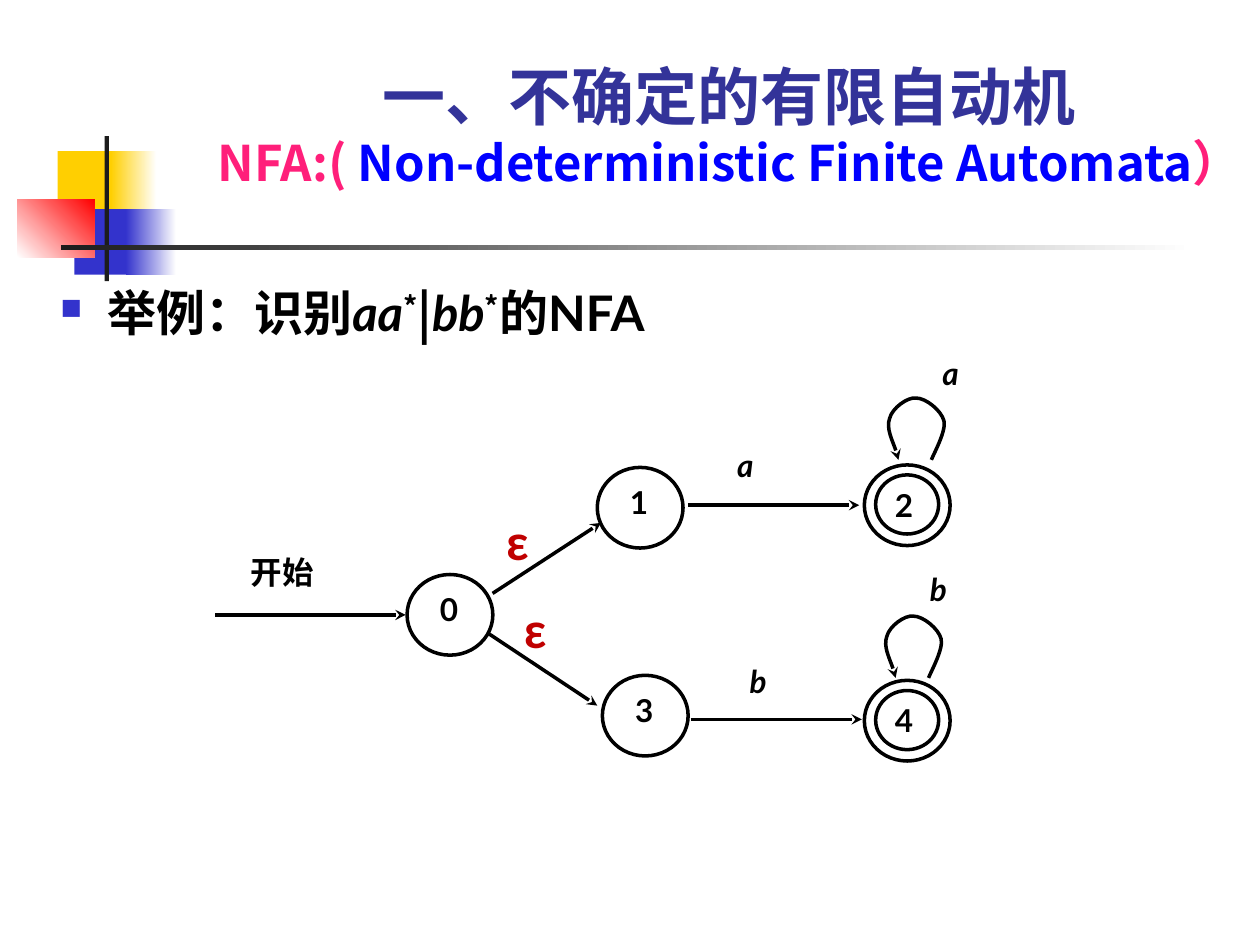
"""Builds a slide showing an NFA that accepts aa*|bb*."""
from lxml.etree import SubElement as Sub
from pptx import Presentation
from pptx.dml.color import RGBColor as Rgb
from pptx.enum.shapes import MSO_CONNECTOR as Conn, MSO_SHAPE as Kind
from pptx.enum.text import MSO_ANCHOR as Anchor, PP_ALIGN as Align
from pptx.oxml.ns import qn
from pptx.util import Pt

HUE = {"gold": "FFCF01", "blue": "3333CC", "red": "FF0000", "white": "FFFFFF",
       "dark": "1C1C1C", "black": "000000", "navy": "333399", "pink": "FF1F7A",
       "pure": "0000FF", "wine": "C00000"}
JP, SC, LATO = "Noto Sans CJK JP", "Noto Sans CJK SC", "Lato"


def style(run, size, face, hue, slant=False):
    font = run.font
    font.size, font.name, font.bold, font.italic = Pt(size), face, True, slant
    font.color.rgb = Rgb.from_string(HUE[hue])
    east = face if face != LATO else SC
    Sub(run._r.get_or_add_rPr(), qn("a:ea"), typeface=east)


def ink(shape, arrow=False):
    shape.line.color.rgb = Rgb.from_string(HUE["black"])
    shape.line.width = Pt(2)
    if arrow:
        Sub(shape.line._get_or_add_ln(), qn("a:tailEnd"), type="stealth")


deck = Presentation()
deck.slide_width, deck.slide_height = Pt(720), Pt(540)
slide = deck.slides.add_slide(deck.slide_layouts[6])
shapes = slide.shapes

for x, y, w, h, hues, angle in [
    (33, 86.4, 34.6, 37.4, ["gold"], 0),
    (63.4, 86.4, 26, 37.4, ["gold", "white"], 0),
    (42.5, 119.5, 33, 37.4, ["blue"], 0),
    (72, 119.5, 28.8, 37.4, ["blue", "white"], 0),
    (10, 113.8, 44, 33.1, ["white", "red"], 45),
    (59.8, 77.8, 2.5, 82.8, ["dark"], 0),
    (34.6, 140.2, 648, 2.5, ["dark", "white"], 0),
]:
    block = shapes.add_shape(Kind.RECTANGLE, Pt(x), Pt(y), Pt(w), Pt(h))
    block.shadow.inherit = False
    block.line.fill.background()
    if len(hues) == 1:
        block.fill.solid()
        block.fill.fore_color.rgb = Rgb.from_string(HUE[hues[0]])
    else:
        block.fill.gradient()
        block.fill.gradient_angle = angle
        for stop, hue in zip(block.fill.gradient_stops, hues):
            stop.color.rgb = Rgb.from_string(HUE[hue])

body = shapes.add_textbox(Pt(27.4), Pt(154.8), Pt(453.6), Pt(50.4)).text_frame
body.word_wrap = True
para = body.paragraphs[0]
para.line_spacing = 1.1
props = para._p.get_or_add_pPr()
props.set("marL", str(Pt(27)))
props.set("indent", str(-Pt(27)))
Sub(Sub(props, qn("a:buClr")), qn("a:srgbClr"), val=HUE["blue"])
Sub(props, qn("a:buSzPct"), val="60000")
Sub(props, qn("a:buChar"), char="■")
for text, face in [("举例：", JP), ("识别", SC), ("aa", LATO), ("*", SC), ("|", SC),
                   ("bb", LATO), ("*", SC), ("的", SC), ("NFA", LATO)]:
    run = para.add_run()
    run.text = text
    style(run, 28, face, "black", text in ("aa", "bb"))
    if text == "*":
        run._r.get_or_add_rPr().set("baseline", "30000")

title = shapes.add_textbox(Pt(105.8), Pt(60.5), Pt(622), Pt(52.6)).text_frame
title.word_wrap = True
title.vertical_anchor = Anchor.BOTTOM
para = title.paragraphs[0]
para.alignment = Align.CENTER
for text, size, face, hue in [
    ("一、不确定的有限自动机", 36, JP, "navy"),
    ("NFA:( ", 28, SC, "pink"),
    ("Non-deterministic Finite Automata", 28, SC, "pure"),
    ("）", 28, SC, "pink"),
]:
    run = para.add_run()
    run.text = text
    style(run, size, face, hue)
    if size == 36:
        para.add_line_break()

for x, y, w, h, text in [
    (341.3, 267.1, 49, 46.1, "1"), (232.6, 328.3, 49, 46.1, "0"),
    (344.2, 385.9, 49, 46.1, "3"),
    (493.9, 265.7, 49, 46.1, ""), (500.4, 271.4, 36, 33.8, "2"),
    (493.9, 388.8, 49, 46.1, ""), (500.4, 394.6, 36, 33.8, "4"),
]:
    state = shapes.add_shape(Kind.OVAL, Pt(x), Pt(y), Pt(w), Pt(h))
    state.shadow.inherit = False
    state.fill.background()
    ink(state)
    if not text:
        continue
    frame = state.text_frame
    inner = w == 36
    pads = (5.8, 0, 0.7, 0) if inner else (11.5, 2.2, 1.4, 3.6)
    frame.margin_left, frame.margin_top, frame.margin_right, frame.margin_bottom = map(Pt, pads)
    frame.vertical_anchor = Anchor.MIDDLE if inner else Anchor.TOP
    para = frame.paragraphs[0]
    para.text = text
    para.alignment = Align.LEFT
    style(para.runs[0], 18, LATO, "black")

for x1, y1, x2, y2 in [
    (123.1, 351.4, 231.8, 351.4), (394.6, 411.1, 492.5, 411.1),
    (393.1, 288.7, 491, 288.7), (281.5, 339.1, 343.4, 298.8),
    (279.4, 362.2, 341.3, 403.2),
]:
    edge = shapes.add_connector(Conn.STRAIGHT, Pt(x1), Pt(y1), Pt(x2), Pt(y2))
    ink(edge, True)
    Sub(edge._element.spPr, qn("a:effectLst"))

curve = [(26, 36), (27.4, 32.4), (34.6, 19.4), (33.2, 13.7), (31.7, 7.9),
         (23, 0.7), (17.3, 0.7), (12.3, 0), (3.6, 6.5), (2.2, 12.2),
         (0, 18), (6.5, 31), (7.2, 36)]
for left, top in [(506.2, 226.8), (504.6, 351.4)]:
    spots = [(Pt(left + x), Pt(top + y)) for x, y in curve]
    pen = shapes.build_freeform(*spots[0])
    pen.add_line_segments(spots[1:], close=False)
    loop = pen.convert_to_shape()
    loop.shadow.inherit = False
    loop.fill.background()
    ink(loop, True)
    track = next(loop._element.iter(qn("a:path")))
    legs = track.findall(qn("a:lnTo"))
    for i in range(0, len(legs), 3):
        bend = Sub(track, qn("a:cubicBezTo"))
        for leg in legs[i:i + 3]:
            bend.append(leg[0])
            track.remove(leg)

for x, y, w, text, size, hue in [
    (139, 313.9, 79.2, "开始", 18, "black"),
    (416.9, 252.7, 39.6, "a", 18, "black"), (534.2, 200.2, 39.6, "a", 18, "black"),
    (527, 323.3, 39.6, "b", 18, "black"), (424.1, 375.8, 39.6, "b", 18, "black"),
    (285.1, 290.2, 39.6, "ε", 28, "wine"), (295.2, 340.6, 39.6, "ε", 28, "wine"),
]:
    frame = shapes.add_textbox(Pt(x), Pt(y), Pt(w), Pt(36.7)).text_frame
    frame.word_wrap = True
    frame.margin_left = frame.margin_right = Pt(4.3)
    frame.margin_top = frame.margin_bottom = Pt(2.2)
    para = frame.paragraphs[0]
    para.text = text
    para.alignment = Align.JUSTIFY
    style(para.runs[0], size, LATO, hue, text in ("a", "b"))

deck.save("out.pptx")
